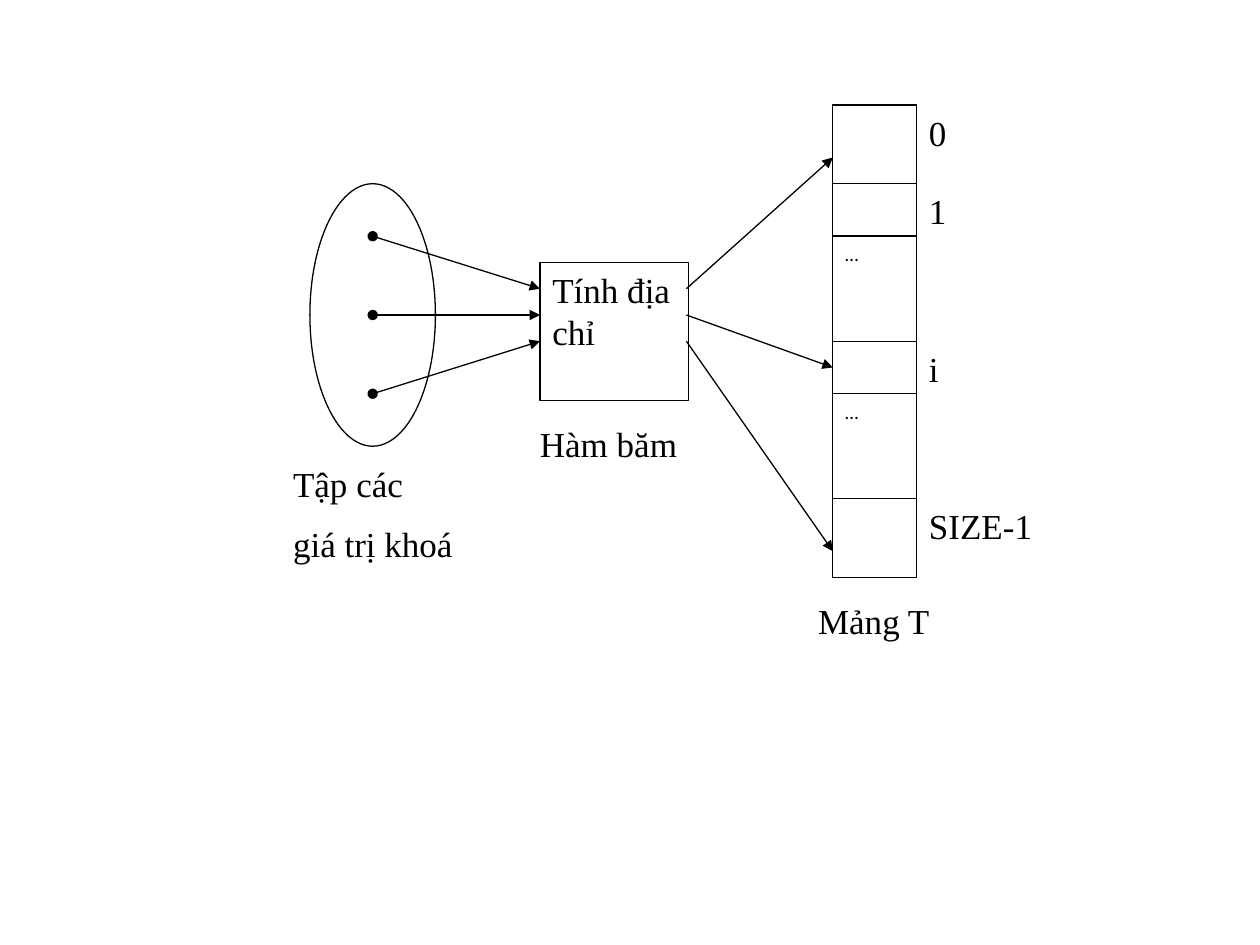
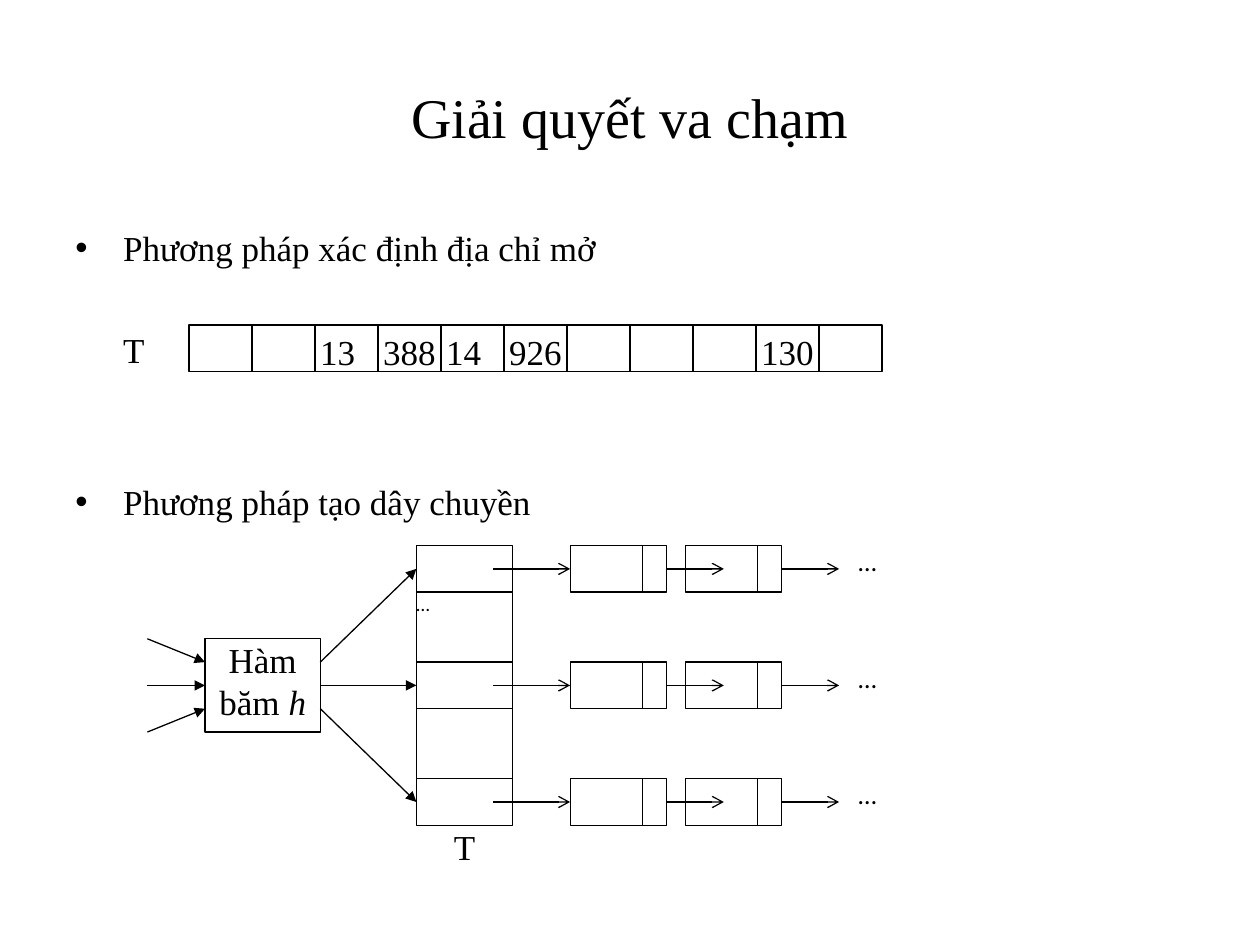
from lxml import etree
from pptx import Presentation
from pptx import util as u
from pptx.dml.color import RGBColor
from pptx.enum import shapes, text
from pptx.oxml.ns import qn

INK, PAPER = "000000", "FFFFFF"
SERIF, SANS = "Times New Roman", "Calibri"
BODY_SIZE, TITLE_SIZE = 20, 32
LEFT, CENTER = text.PP_ALIGN.LEFT, text.PP_ALIGN.CENTER
WIDE, TIGHT, FLUSH = (0.1, 0.05), (0.04, 0.04), (0, 0)


def color(hex_code):
    return RGBColor.from_string(hex_code)


class Board:
    """Draws on the current slide, in columns and rows of its grid."""

    def __init__(self, deck):
        self.deck = deck

    def new_slide(self, origin, unit):
        self.slide = self.deck.slides.add_slide(self.deck.slide_layouts[6])
        self.set_grid(origin, unit)

    def set_grid(self, origin, unit):
        self.origin, self.unit = origin, unit

    def point(self, col, row):
        return [u.Inches(start + step * count) for start, step, count
                in zip(self.origin, self.unit, (col, row))]

    def area(self, col, row, cols, rows):
        return self.point(col, row) + [u.Inches(self.unit[0] * cols),
                                       u.Inches(self.unit[1] * rows)]

    def style_run(self, run, size=BODY_SIZE, font=SERIF, italic=False):
        run.font.size, run.font.name = u.Pt(size), font
        run.font.italic = italic
        run.font.color.rgb = color(INK)

    def set_words(self, shape, words, size=BODY_SIZE, font=SERIF, align=LEFT,
                  inset=WIDE, after=10, anchor=text.MSO_ANCHOR.TOP):
        frame = shape.text_frame
        frame.word_wrap = True
        frame.vertical_anchor = anchor
        frame.margin_left = frame.margin_right = u.Inches(inset[0])
        frame.margin_top = frame.margin_bottom = u.Inches(inset[1])
        frame.text = words
        for paragraph in frame.paragraphs:
            paragraph.alignment = align
            paragraph.space_after = u.Pt(after)
            for run in paragraph.runs:
                self.style_run(run, size, font)
        return frame

    def label(self, words, col, row, cols, rows, **style):
        box = self.slide.shapes.add_textbox(*self.area(col, row, cols, rows))
        return self.set_words(box, words, **style)

    def outline(self, col, row, cols, rows, words="",
                kind=shapes.MSO_SHAPE.RECTANGLE, **style):
        shape = self.slide.shapes.add_shape(
            kind, *self.area(col, row, cols, rows))
        shape.shadow.inherit = False
        shape.fill.solid()
        shape.fill.fore_color.rgb = color(PAPER)
        shape.line.color.rgb = color(INK)
        shape.line.width = u.Pt(0.75)
        if words:
            return self.set_words(shape, words, **style)

    def line(self, start, end, head=None, tail=None):
        link = self.slide.shapes.add_connector(
            shapes.MSO_CONNECTOR.STRAIGHT,
            *self.point(*start), *self.point(*end))
        link.line.color.rgb = color(INK)
        link.line.width = u.Pt(0.75)
        props = link._element.spPr
        stroke = props.find(qn("a:ln"))
        for tag, tip in (("a:headEnd", head), ("a:tailEnd", tail)):
            if tip:
                etree.SubElement(stroke, qn(tag), type=tip)
        etree.SubElement(props, qn("a:effectLst"))

    def method_list(self, entries, col, row, cols, rows):
        """Entries are (words, has bullet, points before)."""
        frame = self.label("\n".join(words for words, _, _ in entries),
                           col, row, cols, rows, after=0)
        for paragraph, (_, bulleted, before) in zip(frame.paragraphs, entries):
            paragraph.space_before = u.Pt(before)
            props = paragraph._p.get_or_add_pPr()
            indent = u.Inches(0.38)
            props.set("marL", str(indent))
            props.set("indent", str(-indent if bulleted else 0))
            if bulleted:
                etree.SubElement(props, qn("a:buFont"), typeface="Arial")
                etree.SubElement(props, qn("a:buChar"), char="•")


def hashing_slide(board):
    board.new_slide(origin=(2.46, 0), unit=(4.15 / 25, 7.5 / 36))

    # Hash function and key set
    board.outline(11, 10, 7.1, 5.25, "Tính địa chỉ")
    board.outline(0, 7, 6, 10, kind=shapes.MSO_SHAPE.OVAL)
    for key_row, entry_row in ((9, 11), (12, 12), (15, 13)):
        board.line((3, key_row), (11, entry_row), "oval", "triangle")

    # Array T with its indexes
    row = 4
    for index, rows in (("0", 3), ("1", 2), ("…", 4),
                        ("i", 2), ("…", 4), ("SIZE-1", 3)):
        if index == "…":
            board.outline(25, row, 4, rows, index, size=11, font=SANS)
        else:
            board.outline(25, row, 4, rows)
            board.label(index, 29, row, 9, rows)
        row += rows

    # Addresses
    for exit_row, slot_row in ((11, 6), (12, 14), (13, 21)):
        board.line((18, exit_row), (25, slot_row), tail="triangle")

    # Captions
    board.label("Hàm băm", 10.4, 15.85, 10.8, 2.8)
    board.label("Tập các\ngiá trị khoá", -1.4, 17.4, 13, 5)
    board.label("Mảng T", 23.7, 22.6, 8, 2.8)


def collision_slide(board):
    board.new_slide(origin=(0, 0), unit=(0.5, 0.5))

    # Title and methods
    board.label("Giải quyết va chạm", 1, 0.6, 18, 2.5, size=TITLE_SIZE,
                align=CENTER, after=0, anchor=text.MSO_ANCHOR.MIDDLE)
    board.method_list([("Phương pháp xác định địa chỉ mở", True, 5),
                       ("T", False, 34),
                       ("Phương pháp tạo dây chuyền", True, 63)],
                      1, 3.5, 18, 9.9)

    # Open addressing array
    board.set_grid(origin=(1.5, 2.58), unit=(0.5, 0.37))
    stored = {2: "13", 3: "388", 4: "14", 5: "926", 9: "130"}
    for slot in range(11):
        board.outline(slot, 0, 1, 1, stored.get(slot, ""), inset=TIGHT)

    # Chains
    board.set_grid(origin=(1.17, 4.33), unit=(6.1 / 40, 2.22 / 12))
    board.label("T", 14, 12, 5, 2, align=CENTER, inset=FLUSH)
    chain_rows = (0, 5, 10)
    for row in chain_rows:
        middle = row + 1
        board.outline(14, row, 5, 2)
        for node in (22, 28):
            board.outline(node, row, 5, 2)
            board.line((node + 3.75, row), (node + 3.75, row + 2))
        for start, end in ((18, 22), (27, 30), (33, 36)):
            board.line((start, middle), (end, middle), tail="arrow")
        board.label("…", 37, row, 5, 2, size=15, font=SANS, inset=FLUSH)
    for row, words in ((2, "…"), (7, "")):
        board.outline(14, row, 5, 3, words, size=11, font=SANS, inset=FLUSH)

    # Hash function with its keys and addresses
    frame = board.outline(3, 4, 6, 4, "Hàm băm ", align=CENTER, inset=FLUSH)
    symbol = frame.paragraphs[0].add_run()
    symbol.text = "h"
    board.style_run(symbol, italic=True)
    for key_row, port_row, chain_row in zip((4, 6, 8), (5, 6, 7), chain_rows):
        board.line((0, key_row), (3, port_row), tail="triangle")
        board.line((9, port_row), (14, chain_row + 1), tail="triangle")


def main():
    deck = Presentation()
    deck.slide_width, deck.slide_height = u.Inches(10), u.Inches(7.5)
    board = Board(deck)
    hashing_slide(board)
    collision_slide(board)
    deck.save("out.pptx")


if __name__ == "__main__":
    main()
